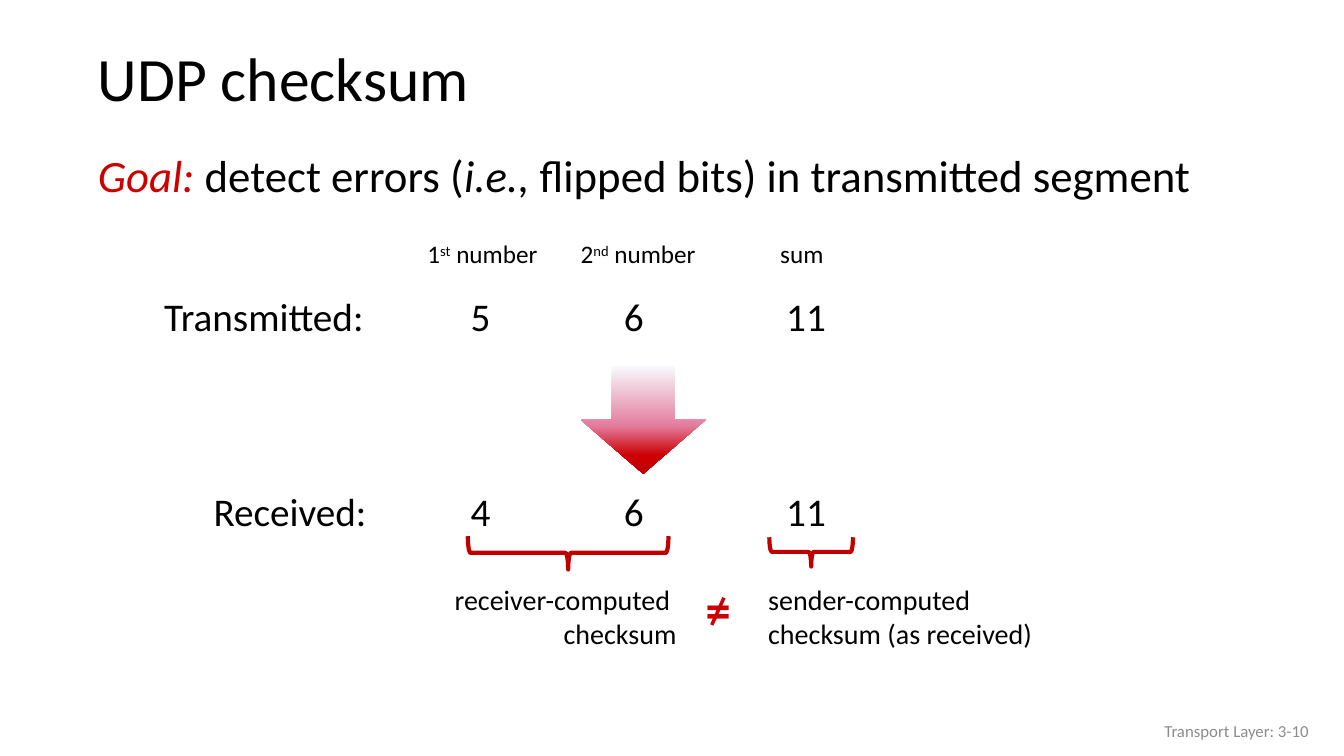
import copy
from dataclasses import dataclass

import pptx
import pptx.dml.color
import pptx.enum.shapes
import pptx.enum.text
import pptx.oxml
import pptx.oxml.ns
import pptx.util

Inches = pptx.util.Inches
Align = pptx.enum.text.PP_ALIGN
Anchor = pptx.enum.text.MSO_ANCHOR
Shape = pptx.enum.shapes.MSO_SHAPE
qn = pptx.oxml.ns.qn


@dataclass(frozen=True)
class Theme:
    """Fonts, type sizes and colours of the slide."""
    font: str = "Calibri"
    title: int = 44
    goal: int = 32
    row: int = 28
    caption: int = 20
    heading: int = 18
    footer: int = 12
    sign: int = 36
    ink: str = "000000"
    accent: str = "CC0000"
    brace: str = "C00000"
    unequal: str = "CD0004"
    muted: str = "8C8C8C"
    arrow: tuple = ((0, "F7FAFD"), (0.55, "E47E9F"), (0.83, "CD0004"), (1, "C00000"))


THEME = Theme()
COLUMNS = (4.67, 6.19, 7.8)
INSET = 0.1


def rgb(value):
    """Turn a hex string into a colour."""
    return pptx.dml.color.RGBColor.from_string(value)


def place(shape, box):
    """Move a shape to a box of left, top, width and height in inches."""
    shape.left, shape.top, shape.width, shape.height = map(Inches, box)


def style(span, size, color=THEME.ink, italic=False, bold=False):
    """Format one run."""
    span.font.name = THEME.font
    span.font.size = pptx.util.Pt(size)
    span.font.color.rgb = rgb(color)
    span.font.italic = italic
    span.font.bold = bold


def add_text(page, box, text, size, color=THEME.ink, align=Align.LEFT, wrap=False, bold=False):
    """Add a text box with one paragraph per line of text."""
    label = page.shapes.add_textbox(*map(Inches, box))
    frame = label.text_frame
    frame.word_wrap = wrap
    frame.text = text
    for para in frame.paragraphs:
        para.alignment = align
        for span in para.runs:
            style(span, size, color, bold=bold)
    return label


def add_title(page, box):
    """Fill the title placeholder."""
    title = page.shapes.title
    place(title, box)
    title.text_frame.text = "UDP checksum"
    title.text_frame.vertical_anchor = Anchor.MIDDLE
    para = title.text_frame.paragraphs[0]
    para.alignment = Align.LEFT
    para.line_spacing = 0.9
    style(para.runs[0], THEME.title)


def add_goal(page, box):
    """Fill the body placeholder with the goal sentence."""
    body = page.placeholders[1]
    place(body, box)
    para = body.text_frame.paragraphs[0]
    properties = para._p.get_or_add_pPr()
    properties.set("marL", "0")
    properties.set("indent", "0")
    properties.append(pptx.oxml.parse_xml(f"<a:buNone {pptx.oxml.ns.nsdecls('a')}/>"))
    para.line_spacing = 0.85
    para.space_before = pptx.util.Pt(0)
    for text, color, italic in (
        ("Goal:", THEME.accent, True),
        (" detect errors (", THEME.ink, False),
        ("i.e., ", THEME.ink, True),
        ("flipped bits) in transmitted segment", THEME.ink, False),
    ):
        span = para.add_run()
        span.text = text
        style(span, THEME.goal, color, italic)


def add_headings(page, top):
    """Add the headings above the number columns."""
    for left, width, parts in (
        (4.14, 1.32, ("1", "st", " number")),
        (5.66, 1.38, ("2", "nd", " number")),
        (7.64, 0.63, ("sum",)),
    ):
        label = add_text(page, (left, top, width, 0.4), parts[0], THEME.heading)
        para = label.text_frame.paragraphs[0]
        for index, part in enumerate(parts[1:]):
            span = para.add_run()
            span.text = part
            style(span, THEME.heading)
            if index == 0:
                span.font._element.set("baseline", "30000")


def add_row(page, box, name, numbers):
    """Add a named row whose numbers sit on tab stops."""
    label = add_text(page, box, "\t".join((name, *numbers)), THEME.row, wrap=True)
    para = label.text_frame.paragraphs[0]
    para.line_spacing = 0.9
    stops = "".join(
        f'<a:tab pos="{Inches(column - box[0] - INSET)}" algn="l"/>' for column in COLUMNS
    )
    para._p.get_or_add_pPr().append(
        pptx.oxml.parse_xml(f"<a:tabLst {pptx.oxml.ns.nsdecls('a')}>{stops}</a:tabLst>")
    )


def add_arrow(page, box):
    """Add the shaded arrow between the rows."""
    arrow = page.shapes.add_shape(Shape.DOWN_ARROW, *map(Inches, box))
    arrow.shadow.inherit = False
    arrow.line.fill.background()
    arrow.fill.gradient()
    stop_list = arrow._element.spPr.find(".//" + qn("a:gsLst"))
    while len(stop_list) < len(THEME.arrow):
        stop_list.append(copy.deepcopy(stop_list[0]))
    for stop, (position, color) in zip(arrow.fill.gradient_stops, THEME.arrow):
        stop.position = position
        stop.color.rgb = rgb(color)
    arrow.fill.gradient_angle = 270


def add_checksum(page, box, text, align, brace_box):
    """Add a caption below a brace that opens upwards."""
    add_text(page, box, text, THEME.caption, align=align)
    left, top, width, height = brace_box
    turned = (left + (width - height) / 2, top + (height - width) / 2, height, width)
    brace = page.shapes.add_shape(Shape.RIGHT_BRACE, *map(Inches, turned))
    brace.rotation = 90
    brace.shadow.inherit = False
    brace.fill.background()
    brace.line.color.rgb = rgb(THEME.brace)
    brace.line.width = pptx.util.Pt(3)


def add_unequal(page, box):
    """Add an equals sign with a stroke through it."""
    add_text(page, box, "=", THEME.sign, THEME.unequal, bold=True)
    left, top = box[:2]
    ends = (left + 0.28, top + 0.24, left + 0.16, top + 0.51)
    stroke = page.shapes.add_connector(
        pptx.enum.shapes.MSO_CONNECTOR.STRAIGHT, *map(Inches, ends)
    )
    stroke.line.color.rgb = rgb(THEME.unequal)
    stroke.line.width = pptx.util.Pt(2.5)
    stroke._element.spPr.append(
        pptx.oxml.parse_xml(f"<a:effectLst {pptx.oxml.ns.nsdecls('a')}/>")
    )


def add_footer(page, box):
    """Add the chapter and page number."""
    footer = add_text(
        page, box, "Transport Layer: 3-10", THEME.footer, THEME.muted, Align.RIGHT, wrap=True
    )
    footer.text_frame.vertical_anchor = Anchor.MIDDLE


def main():
    """Build and save the slide."""
    deck = pptx.Presentation()
    deck.slide_width, deck.slide_height = Inches(13.33), Inches(7.5)
    page = deck.slides.add_slide(deck.slide_layouts[1])
    add_title(page, (0.87, 0.32, 12.14, 0.98))
    add_goal(page, (0.87, 1.5, 12.14, 0.93))
    add_headings(page, 2.32)
    add_row(page, (1.53, 2.9, 11.06, 0.63), "Transmitted:", ("5", "6", "11"))
    add_arrow(page, (5.76, 3.63, 1.24, 1.07))
    add_row(page, (2.02, 4.84, 11.06, 0.63), "Received:", ("4", "6", "11"))
    add_checksum(page, (4.38, 5.73, 2.43, 0.77), "receiver-computed \nchecksum",
                 Align.RIGHT, (4.64, 5.32, 1.99, 0.33))
    add_checksum(page, (7.52, 5.73, 2.85, 0.77), "sender-computed\nchecksum (as received)",
                 Align.LEFT, (7.63, 5.33, 0.83, 0.29))
    add_unequal(page, (6.9, 5.69, 0.45, 0.71))
    add_footer(page, (10.08, 7.05, 3, 0.4))
    deck.save("out.pptx")


if __name__ == "__main__":
    main()
